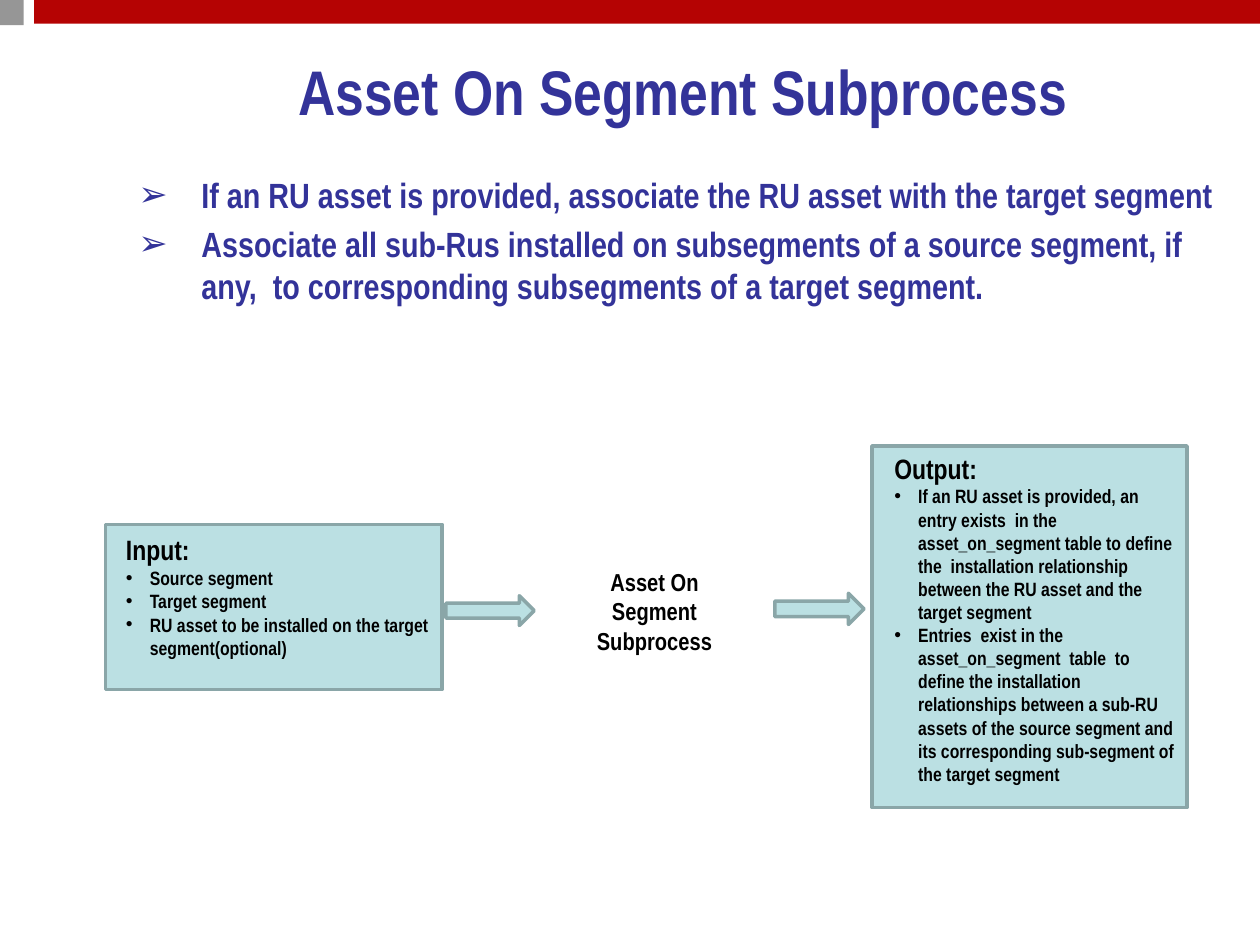
from dataclasses import dataclass

import pptx
import pptx.dml.color
import pptx.enum.shapes
import pptx.enum.text
import pptx.oxml.ns
import pptx.util
from lxml import etree
from pptx.util import Cm

FONT = "Arial Narrow"
NAVY, BLACK = "333399", "000000"
RED, GREY = "B50303", "969696"
PALE, EDGE = "BBE0E3", "8AA6A8"
RECT = pptx.enum.shapes.MSO_SHAPE.RECTANGLE
ARROW = pptx.enum.shapes.MSO_SHAPE.RIGHT_ARROW
LEFT = pptx.enum.text.PP_ALIGN.LEFT
CENTER = pptx.enum.text.PP_ALIGN.CENTER
TOP = pptx.enum.text.MSO_ANCHOR.TOP
MIDDLE = pptx.enum.text.MSO_ANCHOR.MIDDLE


@dataclass(frozen=True)
class Area:
    """A place on the slide, in centimetres."""
    left: float
    top: float
    width: float
    height: float

    def lengths(self) -> tuple:
        return Cm(self.left), Cm(self.top), Cm(self.width), Cm(self.height)


@dataclass(frozen=True)
class Line:
    """One paragraph; a bullet hangs by the indent in centimetres."""
    text: str
    size: int
    color: str = BLACK
    bullet: str = ""
    indent: float = 0
    before: float = 0


@dataclass(frozen=True)
class Panel:
    frame: Area
    text_area: Area
    heading: str
    items: tuple


def rgb(value: str) -> pptx.dml.color.RGBColor:
    return pptx.dml.color.RGBColor.from_string(value)


def add_block(page, kind, area: Area, fill: str, edge: str = "") -> None:
    block = page.shapes.add_shape(kind, *area.lengths())
    block.shadow.inherit = False
    block.fill.solid()
    block.fill.fore_color.rgb = rgb(fill)
    if edge:
        block.line.color.rgb = rgb(edge)
        block.line.width = pptx.util.Pt(2)
    else:
        block.line.fill.background()


def add_bullet(para, mark: str, indent: float) -> None:
    properties = para._p.get_or_add_pPr()
    properties.set("marL", str(Cm(indent)))
    properties.set("indent", str(-Cm(indent)))
    font = etree.SubElement(properties, pptx.oxml.ns.qn("a:buFont"))
    font.set("typeface", "Arial")
    char = etree.SubElement(properties, pptx.oxml.ns.qn("a:buChar"))
    char.set("char", mark)


def add_text(page, area: Area, lines: list[Line], align=LEFT, anchor=TOP) -> None:
    box = page.shapes.add_textbox(*area.lengths())
    frame = box.text_frame
    frame.word_wrap = True
    frame.vertical_anchor = anchor
    for index, line in enumerate(lines):
        para = frame.add_paragraph() if index else frame.paragraphs[0]
        para.text = line.text
        para.alignment = align
        if line.bullet:
            add_bullet(para, line.bullet, line.indent)
        if line.before and index:
            para.space_before = pptx.util.Pt(line.before)
        para.font.name = FONT
        para.font.size = pptx.util.Pt(line.size)
        para.font.bold = True
        para.font.color.rgb = rgb(line.color)


def add_panel(page, panel: Panel) -> None:
    add_block(page, RECT, panel.frame, PALE, EDGE)
    items = [Line(item, 11, bullet="•", indent=0.48) for item in panel.items]
    add_text(page, panel.text_area, [Line(panel.heading, 16), *items])


GOALS = (
    "If an RU asset is provided, associate the RU asset with the target segment",
    "Associate all sub-Rus installed on subsegments of a source segment, "
    "if any,  to corresponding subsegments of a target segment.",
)
PANELS = (
    Panel(Area(2.13, 10.57, 6.78, 3.33), Area(2.29, 10.62, 6.63, 2.82), "Input:", (
        "Source segment",
        "Target segment",
        "RU asset to be installed on the target segment(optional)",
    )),
    Panel(Area(17.58, 8.99, 6.35, 7.29), Area(17.78, 8.97, 6.15, 7.06), "Output:", (
        "If an RU asset is provided, an entry exists  in the asset_on_segment table "
        "to define the  installation relationship between the RU asset and the "
        "target segment",
        "Entries  exist in the asset_on_segment  table  to define the installation "
        "relationships between a sub-RU assets of the source segment and its "
        "corresponding sub-segment of the target segment",
    )),
)
ARROWS = (Area(8.99, 12.01, 1.78, 0.6), Area(15.62, 11.96, 1.8, 0.63))


def main() -> None:
    deck = pptx.Presentation()
    deck.slide_width, deck.slide_height = Cm(25.4), Cm(19.05)
    page = deck.slides.add_slide(deck.slide_layouts[6])

    # Top band
    add_block(page, RECT, Area(0.69, 0, 24.71, 0.48), RED)
    add_block(page, RECT, Area(0, 0, 0.48, 0.51), GREY)

    # Title and goals
    add_text(page, Area(2.97, 1.07, 21.59, 1.5),
             [Line("Asset On Segment Subprocess", 36, NAVY)], CENTER, MIDDLE)
    add_text(page, Area(2.54, 3.38, 22.23, 3.38),
             [Line(goal, 20, NAVY, "➢", 1.27, 4) for goal in GOALS])

    # Flow from input through the subprocess to output
    for panel in PANELS:
        add_panel(page, panel)
    add_text(page, Area(11.38, 11.3, 3.63, 2.06),
             [Line("Asset On Segment Subprocess", 14)], CENTER)
    for arrow in ARROWS:
        add_block(page, ARROW, arrow, PALE, EDGE)

    deck.save("out.pptx")


if __name__ == "__main__":
    main()
